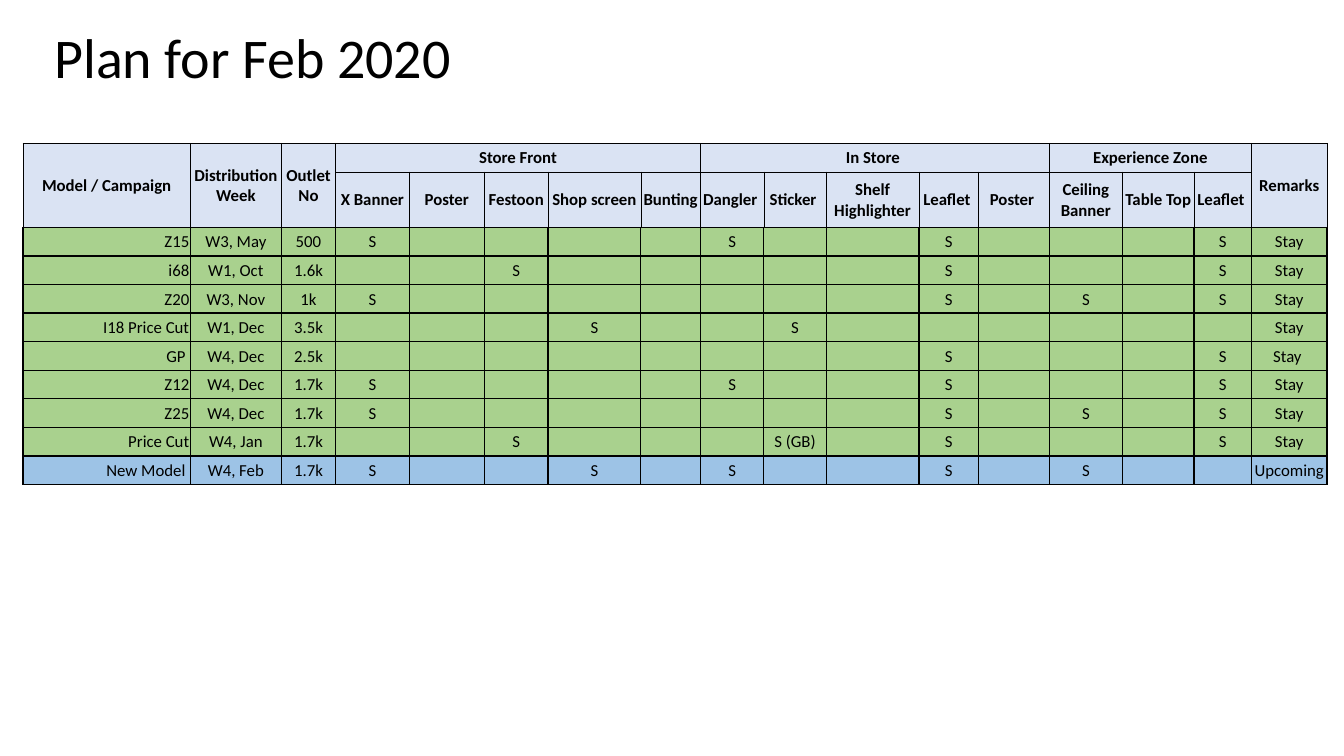
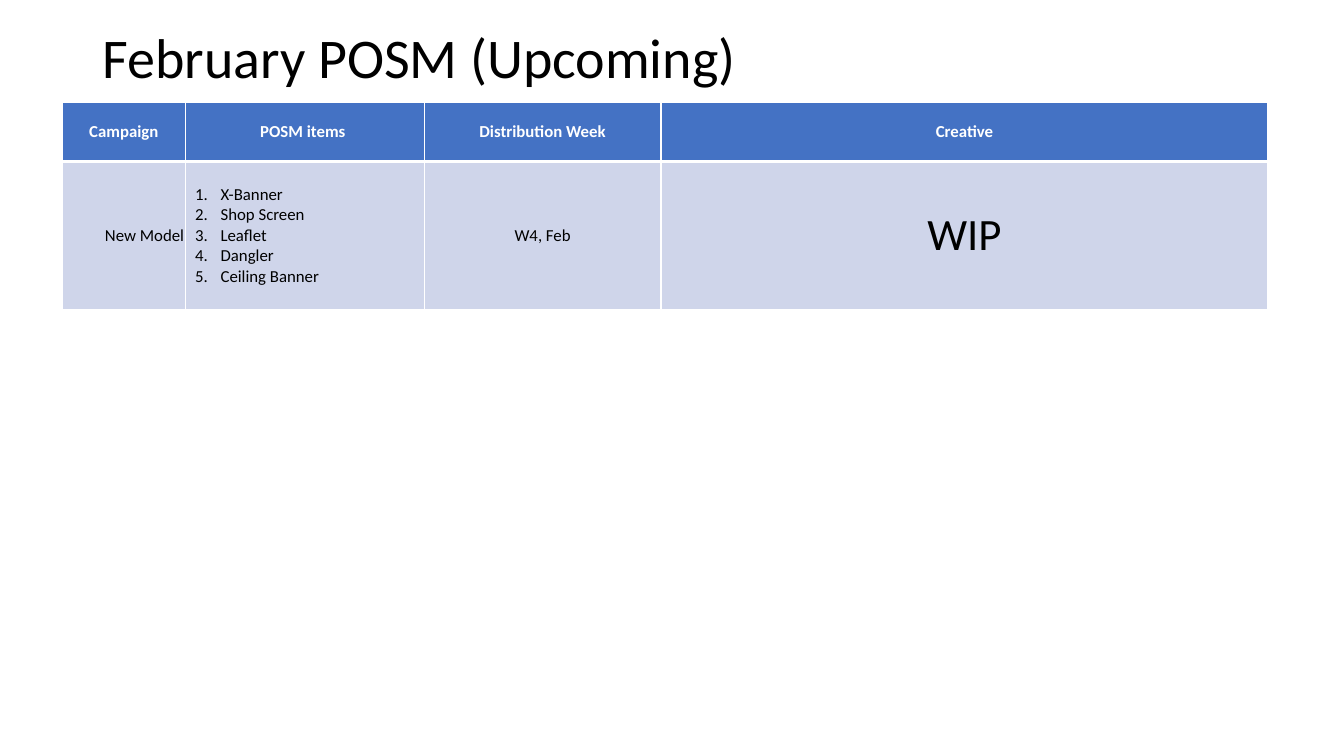
from dataclasses import dataclass

from lxml import etree
from pptx import Presentation
from pptx.dml.color import RGBColor
from pptx.enum.text import MSO_ANCHOR, PP_ALIGN
from pptx.oxml.ns import qn
from pptx.util import Cm, Pt

LEFT, CENTER, RIGHT = PP_ALIGN.LEFT, PP_ALIGN.CENTER, PP_ALIGN.RIGHT
MIDDLE = MSO_ANCHOR.MIDDLE
BLANK_LAYOUT = 6


@dataclass(frozen=True)
class Theme:
    font: str = "Calibri"
    title_size: int = 40
    callout_size: int = 32
    table_size: int = 12
    black: str = "000000"
    white: str = "FFFFFF"
    plan_header: str = "DAE3F3"
    stay: str = "A9D18E"
    upcoming: str = "9DC3E6"
    posm_header: str = "4472C4"
    posm_body: str = "CFD5EA"


THEME = Theme()

# Cell margins in cm: left, top, right, bottom
TIGHT = (0.03, 0.03, 0.03, 0)
ROOMY = (0.25, 0.13, 0.25, 0.13)

PLAN_WIDTHS = [4.22, 2.29, 1.37, 1.85, 1.9, 1.6, 2.34, 1.5, 1.6, 1.57,
               2.34, 1.5, 1.78, 1.85, 1.8, 1.45, 1.9]
LEADING_HEADERS = ["Model / Campaign", "Distribution Week", "Outlet No"]
ITEM_GROUPS = [
    ("Store Front", ["X Banner", "Poster", "Festoon", "Shop screen", "Bunting "]),
    ("In Store ", ["Dangler ", "Sticker ", "Shelf Highlighter", "Leaflet ", "Poster "]),
    ("Experience Zone", ["Ceiling Banner", "Table Top", "Leaflet "]),
]
ITEM_COUNT = sum(len(items) for _, items in ITEM_GROUPS)

# Model, week, outlets, marks by item position, remark
CAMPAIGNS = [
    ("Z15", "W3, May", "500", {0: "S", 5: "S", 8: "S", 12: "S"}, "Stay"),
    ("i68", "W1, Oct", "1.6k", {2: "S", 8: "S", 12: "S"}, "Stay"),
    ("Z20", "W3, Nov", "1k", {0: "S", 8: "S", 10: "S", 12: "S"}, "Stay"),
    ("I18 Price Cut", "W1, Dec", "3.5k", {3: "S", 6: "S"}, "Stay"),
    ("GP ", "W4, Dec", "2.5k", {8: "S", 12: "S"}, "Stay "),
    ("Z12", "W4, Dec", "1.7k", {0: "S", 5: "S", 8: "S", 12: "S"}, "Stay"),
    ("Z25", "W4, Dec", "1.7k", {0: "S", 8: "S", 10: "S", 12: "S"}, "Stay"),
    ("Price Cut", "W4, Jan", "1.7k", {2: "S", 6: "S (GB)", 8: "S", 12: "S"}, "Stay"),
    ("New Model ", "W4, Feb", "1.7k", {0: "S", 3: "S", 5: "S", 8: "S", 10: "S"}, "Upcoming"),
]

POSM_WIDTHS = [3.1, 6.02, 5.97, 15.29]
POSM_HEADERS = ["Campaign", "POSM items ", "Distribution Week", "Creative"]
POSM_ITEMS = ["X-Banner", "Shop Screen", "Leaflet", "Dangler", "Ceiling Banner"]


def write_text(text_frame, text, *, size=THEME.table_size, color=THEME.black,
               bold=False, align=LEFT, line_spacing=None, numbered=False):
    """Write one paragraph for each line of text."""
    for index, line in enumerate(text.split("\n")):
        paragraph = text_frame.paragraphs[0] if index == 0 else text_frame.add_paragraph()
        paragraph.alignment = align
        if line_spacing:
            paragraph.line_spacing = line_spacing
        if numbered:
            number_paragraph(paragraph)
        if not line:
            # Keeps an empty cell from growing to the default type size
            etree.SubElement(paragraph._p, qn("a:endParaRPr"), sz=str(size * 100))
            continue
        run = paragraph.add_run()
        run.text = line
        run.font.name = THEME.font
        run.font.size = Pt(size)
        run.font.bold = bold
        run.font.color.rgb = RGBColor.from_string(color)


def number_paragraph(paragraph):
    properties = paragraph._p.get_or_add_pPr()
    indent = Cm(0.64)
    properties.set("marL", str(indent))
    properties.set("indent", str(-indent))
    etree.SubElement(properties, qn("a:buAutoNum"), type="arabicPeriod")


def set_borders(cell, color, width, bottom_width):
    """Draw the four cell borders; call before the fill, which must follow them."""
    properties = cell._tc.get_or_add_tcPr()
    for side in ("L", "R", "T", "B"):
        points = bottom_width if side == "B" else width
        line = etree.SubElement(properties, qn(f"a:ln{side}"), w=str(Pt(points)))
        fill = etree.SubElement(line, qn("a:solidFill"))
        etree.SubElement(fill, qn("a:srgbClr"), val=color)


def format_cell(cell, text, *, fill, border, width=1, bottom_width=None,
                margins=TIGHT, **text_format):
    set_borders(cell, border, width, bottom_width or width)
    cell.fill.solid()
    cell.fill.fore_color.rgb = RGBColor.from_string(fill)
    cell.vertical_anchor = MIDDLE
    (cell.margin_left, cell.margin_top,
     cell.margin_right, cell.margin_bottom) = map(Cm, margins)
    write_text(cell.text_frame, text, **text_format)


def add_title(slide, text, left):
    text_frame = slide.shapes.add_textbox(Cm(left), Cm(0.46), Cm(29.21), Cm(2.13)).text_frame
    text_frame.word_wrap = True
    text_frame.vertical_anchor = MIDDLE
    write_text(text_frame, text, size=THEME.title_size, line_spacing=0.9)


def add_grid(slide, left, top, widths, heights):
    table = slide.shapes.add_table(len(heights), len(widths), Cm(left), Cm(top),
                                   Cm(sum(widths)), Cm(sum(heights))).table
    table.horz_banding = False
    for column, width in zip(table.columns, widths):
        column.width = Cm(width)
    for row, height in zip(table.rows, heights):
        row.height = Cm(height)
    return table


def fill_plan_header(table):
    upper = LEADING_HEADERS.copy()
    lower = [""] * len(LEADING_HEADERS)
    for group, items in ITEM_GROUPS:
        start = len(upper)
        upper += [group] + [""] * (len(items) - 1)
        lower += items
        table.cell(0, start).merge(table.cell(0, len(upper) - 1))
    upper.append("Remarks")
    lower.append("")

    for row, (texts, bottom_width) in enumerate([(upper, 0.5), (lower, 1)]):
        for column, text in enumerate(texts):
            format_cell(table.cell(row, column), text, fill=THEME.plan_header,
                        border=THEME.black, width=0.5, bottom_width=bottom_width,
                        bold=True, align=CENTER)
    for column, text in enumerate(lower):
        if not text:
            table.cell(0, column).merge(table.cell(1, column))


def build_plan_slide(slide):
    add_title(slide, "Plan for Feb 2020", 1.12)
    heights = [0.72, 1.4] + [0.72] * len(CAMPAIGNS)
    table = add_grid(slide, 0.58, 3.61, PLAN_WIDTHS, heights)
    fill_plan_header(table)
    for row, (model, week, outlets, marks, remark) in enumerate(CAMPAIGNS, start=2):
        fill = THEME.upcoming if remark == "Upcoming" else THEME.stay
        item_marks = [marks.get(item, "") for item in range(ITEM_COUNT)]
        for column, text in enumerate([model, week, outlets, *item_marks, remark]):
            format_cell(table.cell(row, column), text, fill=fill, border=THEME.black,
                        align=CENTER if column else RIGHT)


def build_posm_slide(slide):
    add_title(slide, "February POSM (Upcoming)", 2.34)
    table = add_grid(slide, 1.57, 2.57, POSM_WIDTHS, [1.5, 3.73])
    for column, text in enumerate(POSM_HEADERS):
        format_cell(table.cell(0, column), text, fill=THEME.posm_header,
                    border=THEME.white, bottom_width=3, margins=ROOMY,
                    color=THEME.white, bold=True, align=CENTER)
    details = [
        ("New Model", {"align": RIGHT, "margins": TIGHT}),
        ("\n".join(POSM_ITEMS), {"numbered": True}),
        ("W4, Feb", {"align": CENTER}),
        ("WIP", {"align": CENTER, "size": THEME.callout_size}),
    ]
    for column, (text, options) in enumerate(details):
        format_cell(table.cell(1, column), text, fill=THEME.posm_body,
                    border=THEME.white, **{"margins": ROOMY, **options})


def main():
    presentation = Presentation()
    presentation.slide_width = Cm(33.87)
    presentation.slide_height = Cm(19.05)
    layout = presentation.slide_layouts[BLANK_LAYOUT]
    for build_slide in (build_plan_slide, build_posm_slide):
        build_slide(presentation.slides.add_slide(layout))
    presentation.save("out.pptx")


if __name__ == "__main__":
    main()
